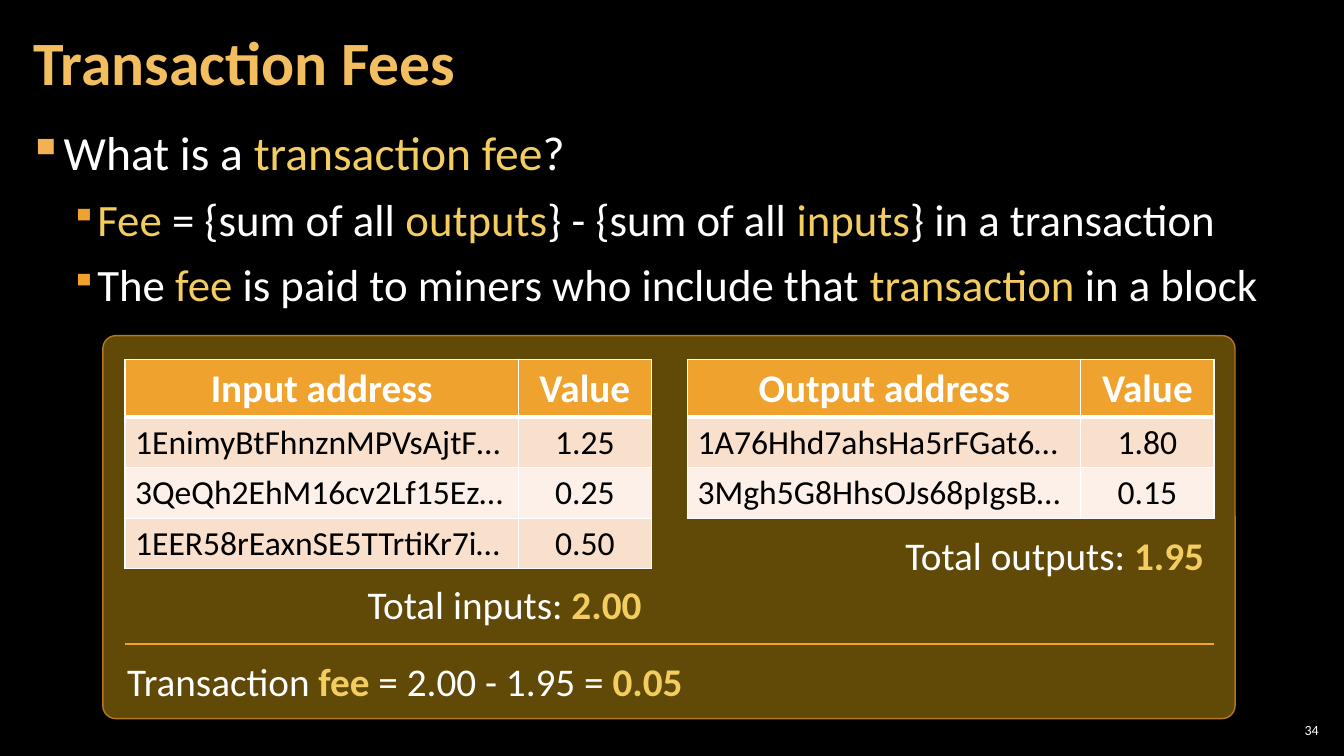
from dataclasses import dataclass
from lxml.etree import SubElement
from pptx import Presentation
from pptx.dml.color import RGBColor
from pptx.enum.shapes import MSO_CONNECTOR as Connector, MSO_SHAPE as Preset
from pptx.enum.text import MSO_ANCHOR as Anchor, PP_ALIGN as Align
from pptx.oxml.ns import qn
from pptx.util import Inches, Pt


@dataclass(frozen=True)
class Theme:
    font: str = "Calibri"
    background: str = "000000"
    white: str = "FFFFFF"
    black: str = "000000"
    title: str = "F3BE60"
    key: str = "F3CD60"
    accent: str = "F0A22E"
    top_bullet: str = "F2B254"
    panel: str = "614907"
    panel_line: str = "B27822"
    bands: tuple = ("F9E0CD", "FCF0E8")
    title_size: int = 44
    topic_size: int = 34
    point_size: int = 32
    label_size: int = 28
    cell_size: int = 24
    number_size: int = 10


THEME = Theme()


def color(code):
    return RGBColor.from_string(code)


# Text
def add_span(para, text, size, code=THEME.white, bold=False):
    span = para.add_run()
    span.text = text
    font = span.font
    font.name, font.size, font.bold = THEME.font, Pt(size), bold
    font.color.rgb = color(code)


def add_spans(para, pieces, size, bold_keys=False):
    """Pieces alternate between plain and highlighted text, plain first."""
    for index, text in enumerate(pieces):
        is_key = index % 2 == 1
        if text:
            add_span(para, text, size, THEME.key if is_key else THEME.white,
                     is_key and bold_keys)


def add_box(page, left, top, width, height, insets=(0.1, 0.05), anchor=Anchor.TOP):
    frame = page.shapes.add_textbox(
        Inches(left), Inches(top), Inches(width), Inches(height)).text_frame
    frame.word_wrap = True
    frame.vertical_anchor = anchor
    frame.margin_left = frame.margin_right = Inches(insets[0])
    frame.margin_top = frame.margin_bottom = Inches(insets[1])
    return frame


def add_label(page, left, top, width, pieces, align):
    para = add_box(page, left, top, width, 0.57).paragraphs[0]
    para.alignment = align
    add_spans(para, pieces, THEME.label_size, bold_keys=True)


def set_bullet(para, code, percent, margin, hanging):
    props = para._p.get_or_add_pPr()
    props.set("marL", str(Inches(margin)))
    props.set("indent", str(-Inches(hanging)))
    SubElement(SubElement(props, qn("a:buClr")), qn("a:srgbClr"), val=code)
    SubElement(props, qn("a:buSzPct"), val=str(percent * 1000))
    SubElement(props, qn("a:buChar"), char="▪")


def add_bullets(page, points):
    frame = add_box(page, 0.16, 1.24, 12.91, 2.05, (0.12, 0.04))
    for index, (level, pieces) in enumerate(points):
        para = frame.add_paragraph() if index else frame.paragraphs[0]
        para.level = level
        para.line_spacing = 0.9
        para.space_before = Pt(6 if index else 0)
        para.space_after = Pt(6)
        if level:
            set_bullet(para, THEME.accent, 80, 0.67, 0.25)
        else:
            set_bullet(para, THEME.top_bullet, 100, 0.33, 0.33)
        add_spans(para, pieces, THEME.point_size if level else THEME.topic_size)


# Panel and divider
def add_panel(page):
    panel = page.shapes.add_shape(Preset.ROUNDED_RECTANGLE, Inches(1.02),
                                  Inches(3.33), Inches(11.23), Inches(3.8))
    panel.adjustments[0] = 0.034
    panel.shadow.inherit = False
    panel.fill.solid()
    panel.fill.fore_color.rgb = color(THEME.panel)
    panel.line.color.rgb = color(THEME.panel_line)
    panel.line.width = Pt(1)


def add_divider(page, left, right, y):
    line = page.shapes.add_connector(Connector.STRAIGHT, Inches(left), Inches(y),
                                     Inches(right), Inches(y))
    line.line.color.rgb = color(THEME.accent)
    line.line.width = Pt(2)
    SubElement(line._element.spPr, qn("a:effectLst"))


# Tables
def set_borders(cell, top, bottom):
    props = cell._tc.get_or_add_tcPr()
    for side, width in (("L", 1), ("R", 1), ("T", top), ("B", bottom)):
        edge = SubElement(props, qn("a:ln" + side), w=str(Pt(width)))
        fill = SubElement(edge, qn("a:solidFill"))
        SubElement(fill, qn("a:srgbClr"), val=THEME.white)


def fill_cell(cell, text, row, column):
    header = row == 0
    set_borders(cell, 3 if row == 1 else 1, 3 if header else 1)
    cell.fill.solid()
    cell.fill.fore_color.rgb = color(
        THEME.accent if header else THEME.bands[(row - 1) % 2])
    para = cell.text_frame.paragraphs[0]
    para.alignment = Align.CENTER if header or column else Align.LEFT
    if header:
        add_span(para, text, THEME.label_size, bold=True)
    else:
        add_span(para, text, THEME.cell_size, THEME.black)


def add_address_table(page, left, heading, entries):
    rows = [(heading, "Value"), *entries]
    table = page.shapes.add_table(
        len(rows), 2, Inches(left), Inches(3.57), Inches(5.22),
        Inches(0.57 + 0.5 * len(entries))).table
    for column, width in zip(table.columns, (3.9, 1.32)):
        column.width = Inches(width)
    for row, values in enumerate(rows):
        table.rows[row].height = Inches(0.5 if row else 0.57)
        for column, text in enumerate(values):
            fill_cell(table.cell(row, column), text, row, column)


def main():
    deck = Presentation()
    deck.slide_width, deck.slide_height = Inches(13.33), Inches(7.5)
    page = deck.slides.add_slide(deck.slide_layouts[6])
    page.background.fill.solid()
    page.background.fill.fore_color.rgb = color(THEME.background)

    # Slide number and title
    number = add_box(page, 12.65, 7.14, 0.47, 0.21, (0.04, 0.04), Anchor.MIDDLE)
    number.paragraphs[0].alignment = Align.RIGHT
    add_span(number.paragraphs[0], "34", THEME.number_size)
    title = add_box(page, 0.21, 0.04, 10.47, 1.21, (0.12, 0.04), Anchor.MIDDLE)
    title.paragraphs[0].line_spacing = 0.9
    add_span(title.paragraphs[0], "Transaction Fees", THEME.title_size,
             THEME.title, True)

    # Definition
    add_bullets(page, [
        (0, ("What is a ", "transaction fee", "?")),
        (1, ("", "Fee", " = {sum of all ", "outputs", "} - {sum of all ",
             "inputs", "} in a transaction")),
        (1, ("The ", "fee", " is paid to miners who include that ",
             "transaction", " in a block")),
    ])

    # Worked example
    add_panel(page)
    inputs_left, outputs_left, width = 1.24, 6.82, 5.22
    add_address_table(page, inputs_left, "Input address", [
        ("1EnimyBtFhnznMPVsAjtF…", "1.25"),
        ("3QeQh2EhM16cv2Lf15Ez…", "0.25"),
        ("1EER58rEaxnSE5TTrtiKr7i…", "0.50")])
    add_address_table(page, outputs_left, "Output address", [
        ("1A76Hhd7ahsHa5rFGat6…", "1.80"),
        ("3Mgh5G8HhsOJs68pIgsB…", "0.15")])
    add_label(page, inputs_left, 5.71, width, ("Total inputs: ", "2.00"), Align.RIGHT)
    add_label(page, outputs_left, 5.22, width, ("Total outputs: ", "1.95"), Align.RIGHT)
    add_label(page, 1.07, 6.47, 5.89,
              ("Transaction ", "fee", " = 2.00 - 1.95 = ", "0.05"), Align.CENTER)
    add_divider(page, inputs_left, outputs_left + width, 6.39)

    deck.save("out.pptx")


if __name__ == "__main__":
    main()
